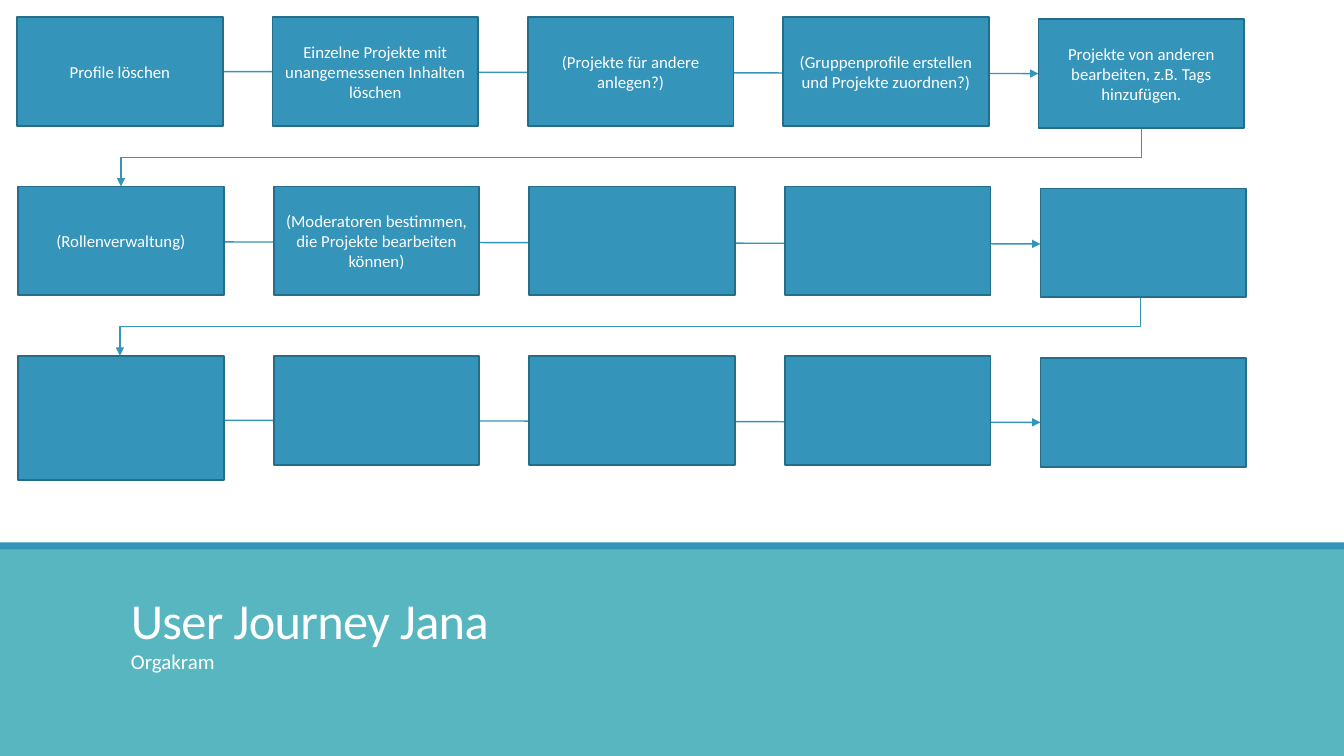
from dataclasses import dataclass

from lxml import etree
from pptx import Presentation
from pptx.dml.color import RGBColor
from pptx.enum.shapes import MSO_CONNECTOR, MSO_SHAPE
from pptx.enum.text import MSO_ANCHOR, PP_ALIGN
from pptx.oxml.ns import qn
from pptx.util import Inches, Pt

RECTANGLE = MSO_SHAPE.RECTANGLE
STRAIGHT, ELBOW = MSO_CONNECTOR.STRAIGHT, MSO_CONNECTOR.ELBOW
MIDDLE, TOP, BOTTOM = MSO_ANCHOR.MIDDLE, MSO_ANCHOR.TOP, MSO_ANCHOR.BOTTOM
CENTER = PP_ALIGN.CENTER

COLORS = {"blue": "3494BA", "edge": "266D8A", "teal": "58B6C0", "white": "FFFFFF"}
FONT = "Calibri"
PAGE_WIDTH, PAGE_HEIGHT = 13.33, 7.5
STEP_WIDTH, STEP_HEIGHT = 2.04, 1.08
LAST_DROP = 0.02  # the last step of each row sits slightly lower


@dataclass
class Row:
    left: float
    last_left: float
    top: float
    arrow_y: float
    labels: list
    first_height: float = STEP_HEIGHT


ROWS = [
    Row(0.17, 10.3, 0.17, 0.71, [
        "Profile löschen",
        "Einzelne Projekte mit unangemessenen Inhalten löschen",
        "(Projekte für andere anlegen?)",
        "(Gruppenprofile erstellen und Projekte zuordnen?)",
        "Projekte von anderen bearbeiten, z.B. Tags hinzufügen.",
    ]),
    Row(0.18, 10.32, 1.85, 2.4, [
        "(Rollenverwaltung)",
        "(Moderatoren bestimmen, die Projekte bearbeiten können)",
        "", "", "",
    ]),
    Row(0.18, 10.32, 3.53, 4.17, [""] * 5, 1.23),
]
# Right and left end of the link leading to the next row
ROW_LINKS = [(11.32, 1.2), (11.31, 1.19)]


def color(name):
    return RGBColor.from_string(COLORS[name])


def set_font(para, size):
    para.font.name = FONT
    para.font.size = Pt(size)
    para.font.color.rgb = color("white")


def add_rectangle(page, left, top, width, height, fill):
    shape = page.shapes.add_shape(
        RECTANGLE, Inches(left), Inches(top), Inches(width), Inches(height))
    shape.shadow.inherit = False
    shape.fill.solid()
    shape.fill.fore_color.rgb = color(fill)
    shape.line.fill.background()
    return shape


def add_arrow(page, kind, start_x, start_y, end_x, end_y):
    arrow = page.shapes.add_connector(
        kind, Inches(start_x), Inches(start_y), Inches(end_x), Inches(end_y))
    arrow.line.color.rgb = color("blue")
    arrow.line.width = Pt(1)
    line = arrow.line._get_or_add_ln()
    etree.SubElement(line, qn("a:tailEnd"), type="triangle")
    etree.SubElement(arrow._element.spPr, qn("a:effectLst"))
    return arrow


def add_row_link(page, start_x, start_y, end_x, end_y):
    """Elbow arrow going down, left and down: a right-down elbow turned by 90 degrees."""
    middle_x, middle_y = (start_x + end_x) / 2, (start_y + end_y) / 2
    half_width, half_height = (end_y - start_y) / 2, (start_x - end_x) / 2
    link = add_arrow(page, ELBOW, middle_x - half_width, middle_y - half_height,
                     middle_x + half_width, middle_y + half_height)
    link._element.spPr.find(qn("a:xfrm")).set("rot", "5400000")


def add_step(page, left, top, height, label):
    step = add_rectangle(page, left, top, STEP_WIDTH, height, "blue")
    step.line.color.rgb = color("edge")
    step.line.width = Pt(1.25)
    frame = step.text_frame
    frame.word_wrap = True
    frame.vertical_anchor = MIDDLE
    para = frame.paragraphs[0]
    para.text = label
    para.alignment = CENTER
    set_font(para, 12)


def add_row(page, row):
    add_arrow(page, STRAIGHT, row.left + STEP_WIDTH, row.arrow_y,
              row.last_left, row.arrow_y + LAST_DROP)
    last = len(row.labels) - 1
    pitch = (row.last_left - row.left) / last
    for column, label in enumerate(row.labels):
        top = row.top + (LAST_DROP if column == last else 0)
        height = row.first_height if column == 0 else STEP_HEIGHT
        add_step(page, row.left + column * pitch, top, height, label)


def add_journey(page):
    for row, following, (start_x, end_x) in zip(ROWS, ROWS[1:], ROW_LINKS):
        bottom = row.top + LAST_DROP + STEP_HEIGHT
        add_row_link(page, start_x, bottom, end_x, following.top)
    for row in ROWS:
        add_row(page, row)


def add_caption(page, top, height, text, size, anchor, spacing):
    box = page.shapes.add_textbox(
        Inches(1.2), Inches(top), Inches(11.06), Inches(height))
    frame = box.text_frame
    frame.word_wrap = True
    frame.vertical_anchor = anchor
    frame.margin_top = frame.margin_bottom = 0
    para = frame.paragraphs[0]
    para.text = text
    para.line_spacing = spacing
    set_font(para, size)
    return para


def add_footer(page, top):
    add_rectangle(page, 0, top + 0.04, PAGE_WIDTH, PAGE_HEIGHT - top - 0.04, "teal")
    add_rectangle(page, 0, top, PAGE_WIDTH, 0.07, "blue")
    title = add_caption(page, top + 0.17, 0.9, "User Journey Jana", 36, BOTTOM, 0.85)
    title.runs[0].font._element.set("spc", "-50")
    add_caption(page, top + 1.08, 0.65, "Orgakram", 15, TOP, 0.9)


def main():
    deck = Presentation()
    deck.slide_width, deck.slide_height = Inches(PAGE_WIDTH), Inches(PAGE_HEIGHT)
    page = deck.slides.add_slide(deck.slide_layouts[6])
    add_footer(page, 5.38)
    add_journey(page)
    deck.save("out.pptx")


if __name__ == "__main__":
    main()
